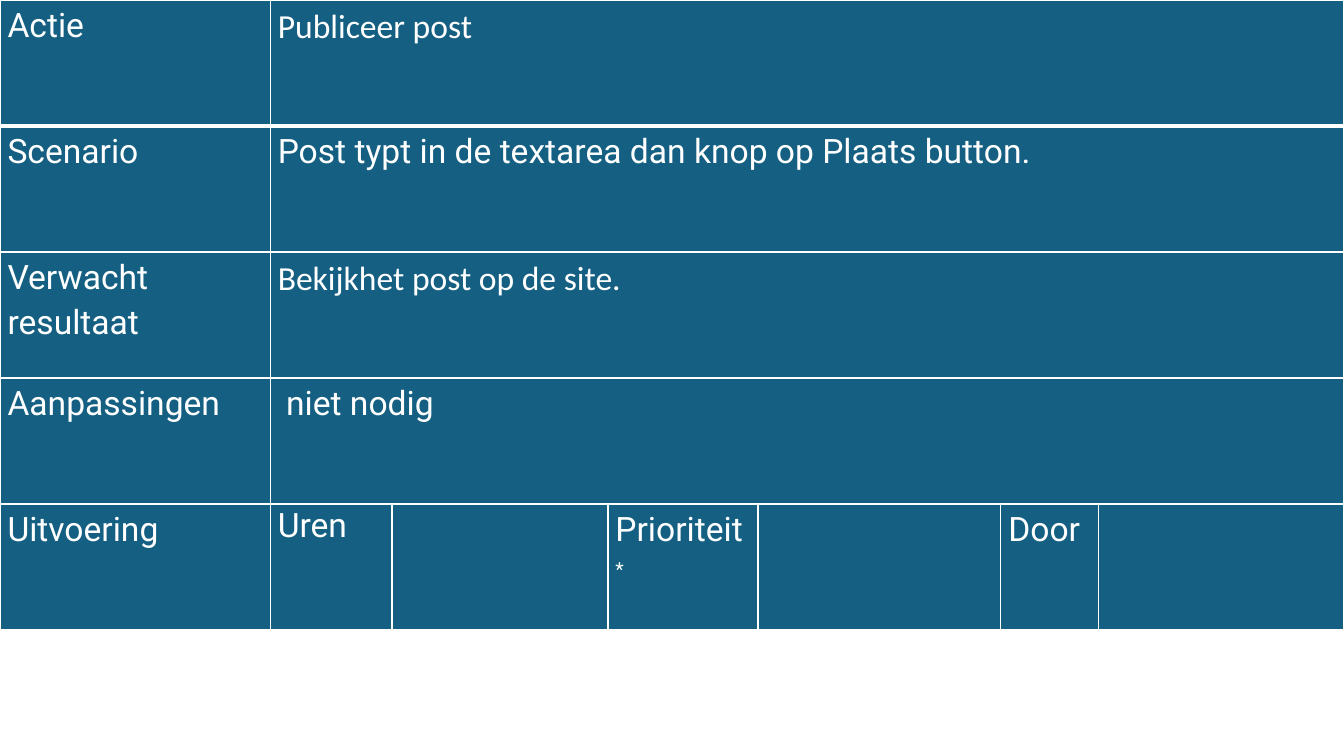
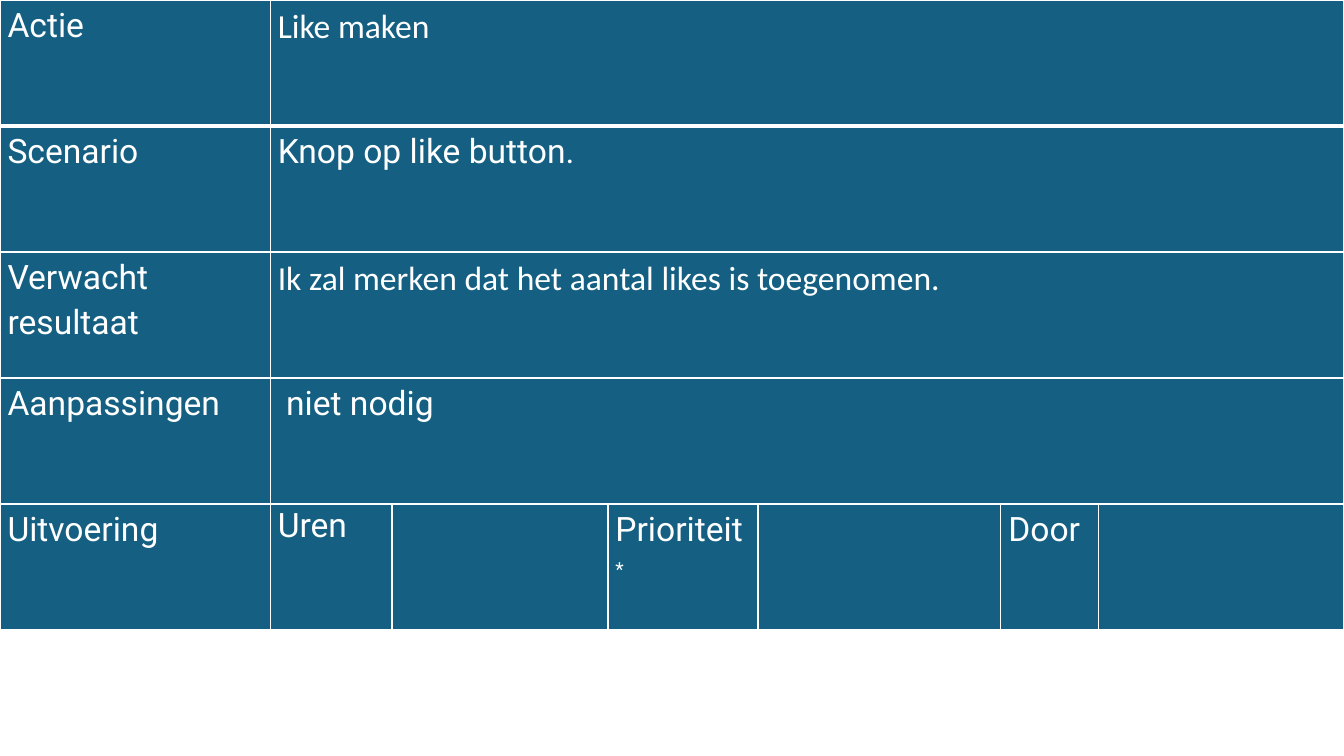
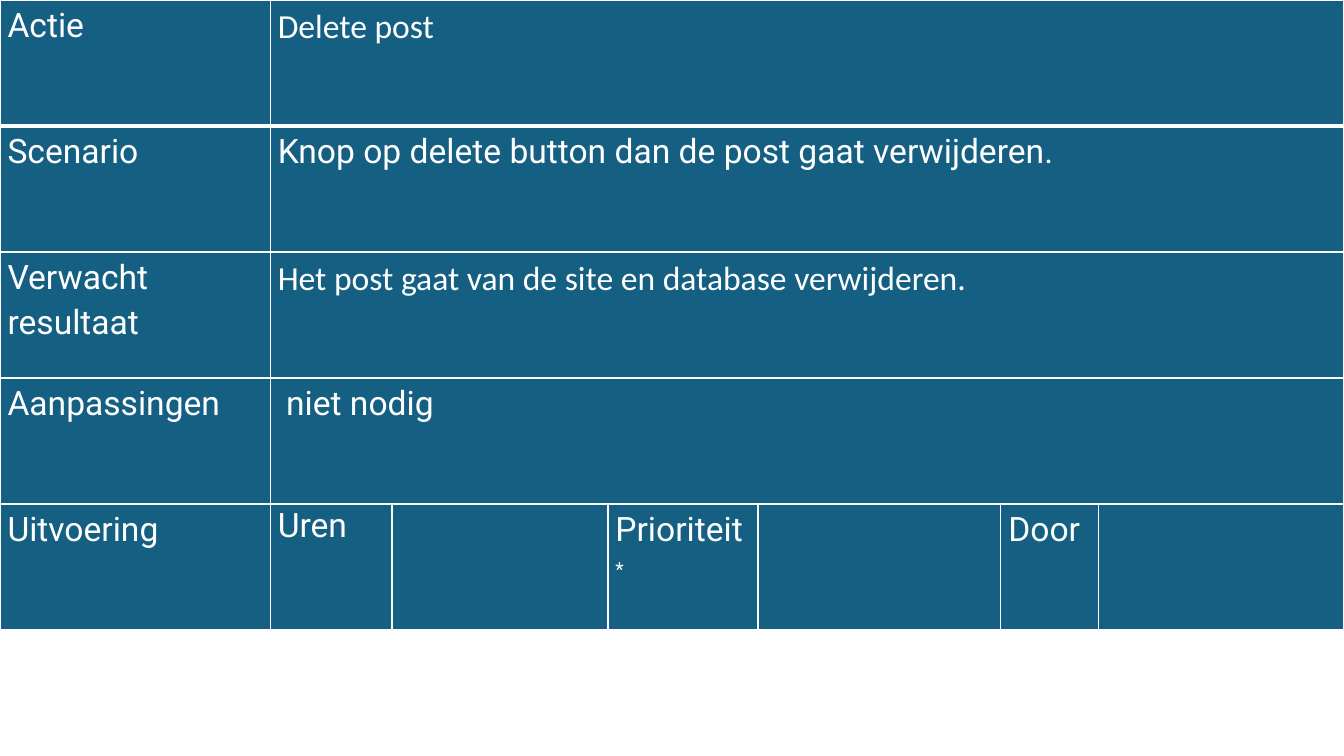
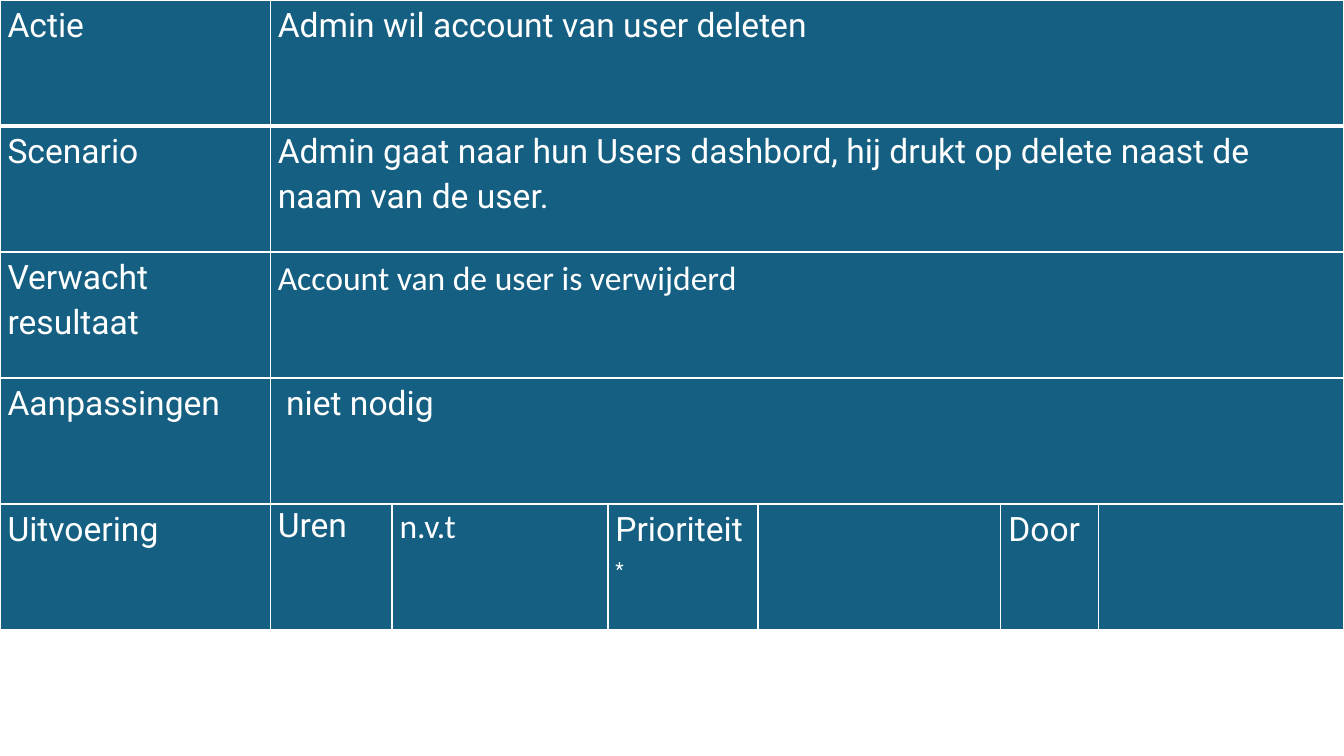
from lxml.etree import SubElement
from pptx import Presentation
from pptx.dml.color import RGBColor
from pptx.oxml.ns import qn
from pptx.util import Cm, Pt

COLORS = {"cell": "156082", "light": "FFFFFF"}
COLUMN_WIDTHS = [6.81, 3.07, 5.44, 3.78, 6.12, 2.46, 6.19]
ROW_HEIGHT = 3.175
LABELS = ["Actie", "Scenario", "Verwacht resultaat", "Aanpassingen", "Uitvoering"]
ROW_FONTS = ["Calibri", "Roboto", "Calibri", "Roboto"]
NO_CHANGES = " niet nodig"

TESTS = [
    {"values": ["Publiceer post",
                "Post typt in de textarea dan knop op Plaats button.",
                "Bekijkhet post op de site."]},
    {"values": ["Like maken",
                "Knop op like button.",
                "Ik zal merken dat het aantal likes is toegenomen."]},
    {"values": ["Delete post",
                "Knop op delete button dan de post gaat verwijderen.",
                "Het post gaat van de site en database verwijderen."]},
    {"values": ["Admin wil account van user deleten",
                "Admin gaat naar hun Users dashbord, hij drukt op delete "
                "naast de naam van de user.",
                "Account van de user is verwijderd"],
     "action_font": "Roboto", "hours": "n.v.t"},
]


def add_text(para, text, font="Roboto", size=24, color="light", spacing=1.15, baseline=None):
    para.line_spacing = spacing
    para.space_after = Pt(6)
    span = para.add_run()
    span.text = text
    span.font.name = font
    span.font.size = Pt(size)
    span.font.color.rgb = RGBColor.from_string(COLORS[color])
    if baseline:
        span.font._element.set("baseline", str(baseline * 1000))


class TestDeck:
    """Builds test report slides, each holding one full-width table."""

    def __init__(self):
        self.deck = Presentation()
        self.deck.slide_width = Cm(33.87)
        self.deck.slide_height = Cm(19.05)
        self.page = None

    def add_page(self):
        self.page = self.deck.slides.add_slide(self.deck.slide_layouts[6])

    def add_borders(self, cell, bottom=1):
        properties = cell._tc.get_or_add_tcPr()
        for side, width in zip("LRTB", (1, 1, 1, bottom)):
            line = SubElement(properties, qn(f"a:ln{side}"), w=str(Pt(width)))
            fill = SubElement(line, qn("a:solidFill"))
            SubElement(fill, qn("a:srgbClr"), val=COLORS["light"])

    def add_grid(self):
        rows, columns = len(LABELS), len(COLUMN_WIDTHS)
        frame = self.page.shapes.add_table(
            rows, columns, 0, 0, Cm(sum(COLUMN_WIDTHS)), Cm(ROW_HEIGHT * rows))
        table = frame.table
        table.first_row = False
        table.horz_banding = False
        for column, width in zip(table.columns, COLUMN_WIDTHS):
            column.width = Cm(width)
        for index, row in enumerate(table.rows):
            row.height = Cm(ROW_HEIGHT)
            for cell in row.cells:
                if index < rows - 1:
                    self.add_borders(cell, bottom=1 if index else 3)
                cell.fill.solid()
                cell.fill.fore_color.rgb = RGBColor.from_string(COLORS["cell"])
                cell.margin_left = cell.margin_right = Cm(0.19)
                cell.margin_top = cell.margin_bottom = 0
        for index in range(rows - 1):
            table.cell(index, 1).merge(table.cell(index, columns - 1))
        return table

    def add_cell_text(self, table, row, column, text, **style):
        para = table.cell(row, column).text_frame.paragraphs[0]
        add_text(para, text, **style)

    def add_test(self, values, action_font="Calibri", hours=None):
        self.add_page()
        table = self.add_grid()
        for row, label in enumerate(LABELS):
            self.add_cell_text(table, row, 0, label)
        table.cell(LABELS.index("Aanpassingen"), 0).margin_right = 0
        fonts = [action_font] + ROW_FONTS[1:]
        for row, (text, font) in enumerate(zip(values + [NO_CHANGES], fonts)):
            self.add_cell_text(table, row, 1, text, font=font)
        last = len(LABELS) - 1
        self.add_cell_text(table, last, 1, "Uren", spacing=1.06)
        if hours:
            self.add_cell_text(table, last, 2, hours, font="Calibri", spacing=1.06)
        self.add_cell_text(table, last, 3, "Prioriteit")
        self.add_cell_text(table, last, 3, "*", baseline=30)
        self.add_cell_text(table, last, 5, "Door")


def main():
    report = TestDeck()
    for test in TESTS:
        report.add_test(**test)
    report.deck.save("out.pptx")


if __name__ == "__main__":
    main()
